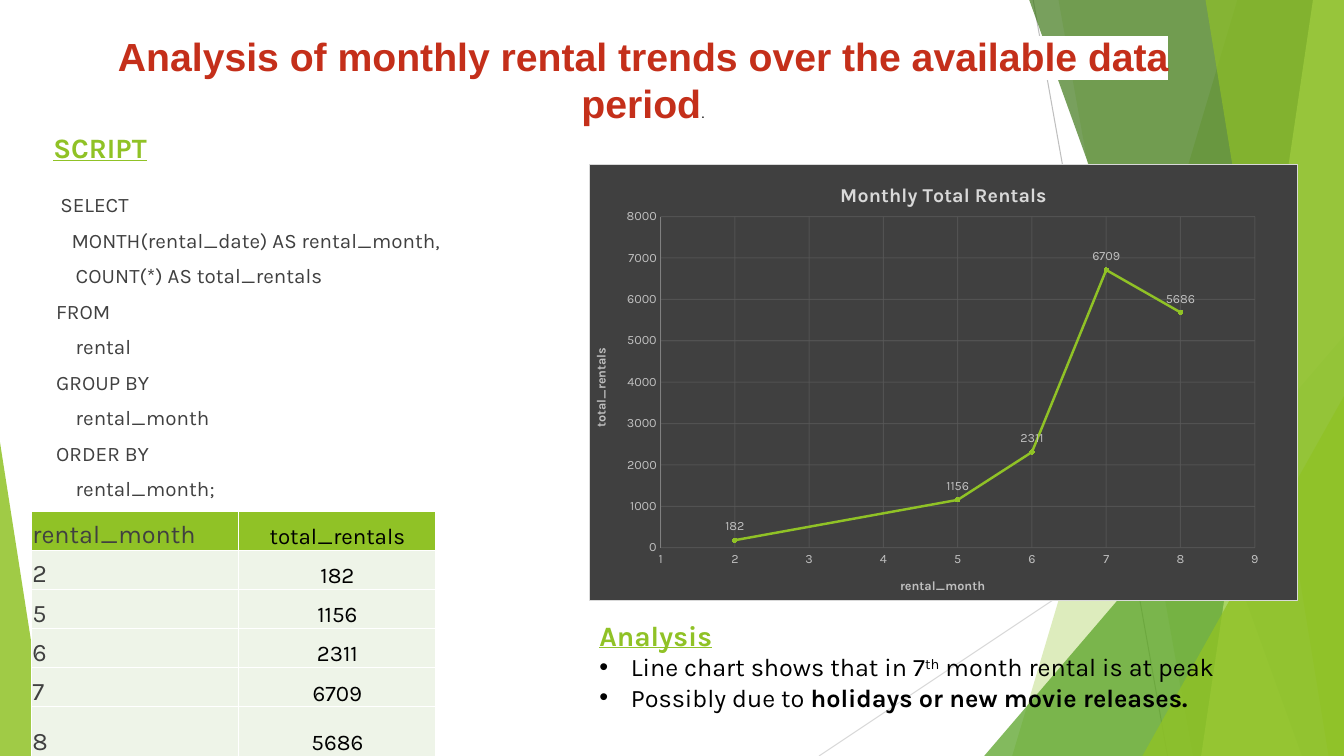
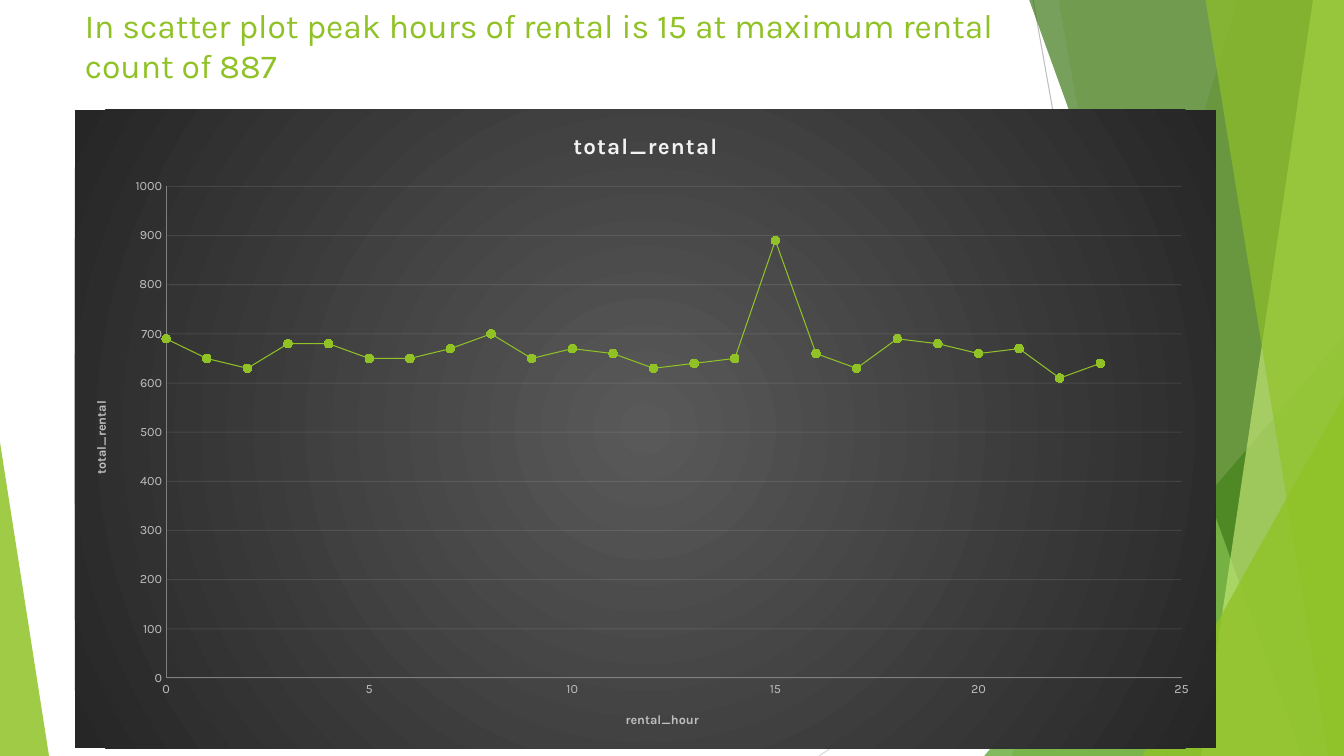
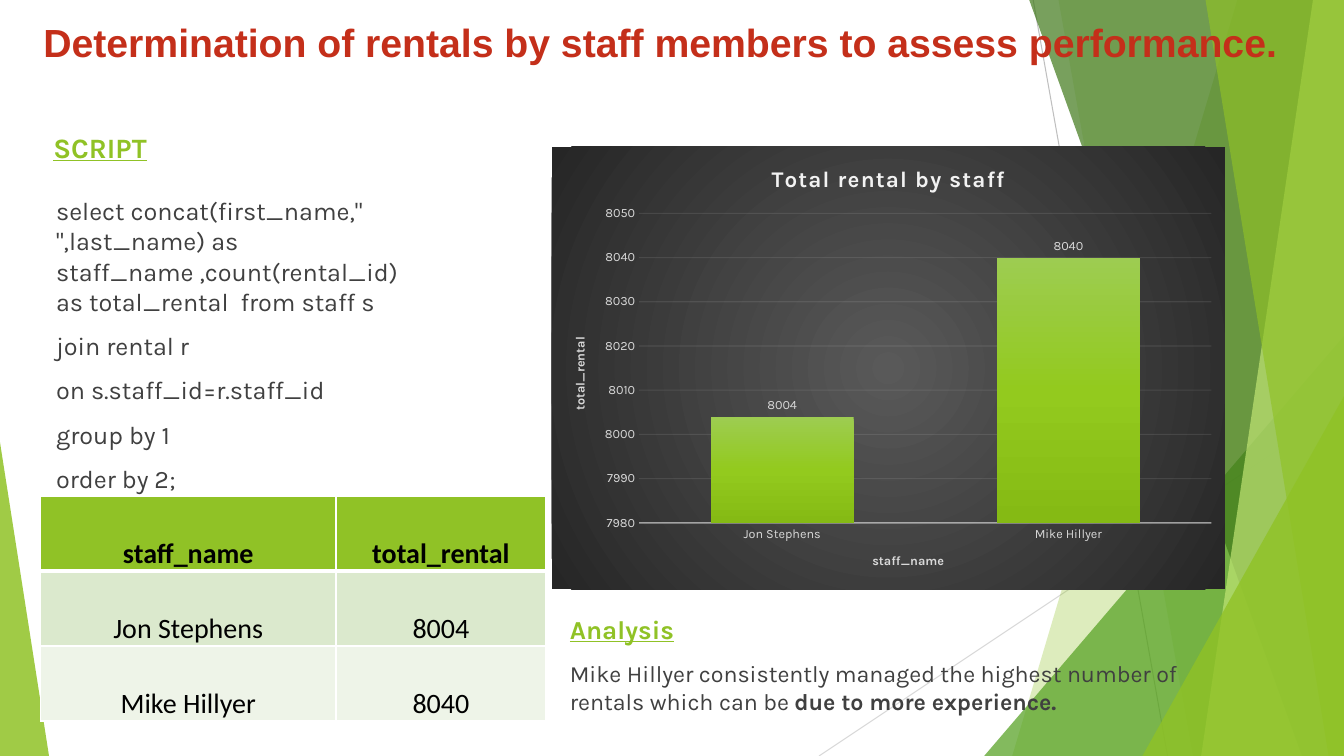
from pptx import Presentation
from pptx.chart.data import CategoryChartData, XyChartData
from pptx.chart.datalabel import DataLabels
from pptx.dml.color import RGBColor
from pptx.dml.fill import FillFormat
from pptx.enum.chart import XL_CHART_TYPE, XL_LABEL_POSITION, XL_MARKER_STYLE, XL_TICK_MARK
from pptx.enum.shapes import MSO_CONNECTOR, MSO_SHAPE
from pptx.enum.text import MSO_ANCHOR, PP_ALIGN
from pptx.oxml import parse_xml
from pptx.oxml.ns import nsdecls, qn
from pptx.util import Pt

GREEN, RED, GREY, BLACK, WHITE = "90C226", "C42F1A", "404040", "000000", "FFFFFF"
PALE, MID = "EEF4E8", "DBE9CD"
RADIAL = ('<a:path path="circle"><a:fillToRect l="50000" t="50000" r="50000" b="50000"/></a:path>')
LINEAR = '<a:lin ang="5400000" scaled="0"/>'
DARK = "595959 262626"


def paint(fill, colours, alpha=100, shade=RADIAL):
    stops = colours.split()
    if len(stops) > 1:
        fill.gradient()
        old = fill._xPr.find(qn("a:gradFill"))
        gs = "".join(f'<a:gs pos="{100000 * i // (len(stops) - 1)}"><a:srgbClr val="{c}"/></a:gs>'
                     for i, c in enumerate(stops))
        new = f'<a:gradFill {nsdecls("a")} rotWithShape="1"><a:gsLst>{gs}</a:gsLst>{shade}</a:gradFill>'
        fill._xPr.replace(old, parse_xml(new))
        return
    fill.solid()
    fill.fore_color.rgb = RGBColor.from_string(colours)
    if alpha < 100:
        clr = next(fill._xPr.iter(qn("a:srgbClr")))
        clr.append(parse_xml(f'<a:alpha {nsdecls("a")} val="{alpha * 1000}"/>'))


def write(p, text, fmt):
    r = p.add_run()
    r.text = text
    rPr = r.font._element
    for key, value in fmt.items():
        if key == "colour":
            paint(r.font.fill, value)
        elif key in ("spc", "baseline"):
            rPr.set(key, value)
        elif key == "highlight":
            rPr.find(qn("a:solidFill")).addnext(parse_xml(
                f'<a:highlight {nsdecls("a")}><a:srgbClr val="{value}"/></a:highlight>'))
        else:
            setattr(r.font, key, value)


prs = Presentation()
prs.slide_width, prs.slide_height = Pt(960), Pt(540)
blank = prs.slide_layouts[6]
slides = [prs.slides.add_slide(blank) for _ in range(3)]
trends, hours, staff = slides

decor = []
for x1, y1, x2, y2, colour in [(738, 0, 834, 540, "BFBFBF"), (960, 290, 585, 540, "D9D9D9")]:
    sp = trends.shapes.add_connector(MSO_CONNECTOR.STRAIGHT, Pt(x1), Pt(y1), Pt(x2), Pt(y2))
    paint(sp.line.fill, colour)
    sp.line.width = Pt(0.75)
    sp.element.spPr.append(parse_xml(f'<a:effectLst {nsdecls("a")}/>'))
    decor.append(sp)

facets = [
    ((884, 723), GREEN, 30),
    ((756, 852), GREEN, 20),
    ((703, 240, 257, 300, 1), "54A021", 72),
    ((735, 930), "3F7819", 70),
    ((938, 858), "C0E474", 70),
    ((861, 949), GREEN, 65),
    ((816, 283, 144, 257, 1), GREEN, 80),
    ((0, 316, 35, 224, 0), GREEN, 85),
]
for place, colour, alpha in facets:
    if len(place) == 2:
        top, bottom = place
        fb = trends.shapes.build_freeform(Pt(top), Pt(-0.6))
        fb.add_line_segments([(Pt(960), Pt(-0.6)), (Pt(960), Pt(540)), (Pt(bottom), Pt(540))])
        sp = fb.convert_to_shape()
    else:
        sp = trends.shapes.add_shape(MSO_SHAPE.ISOSCELES_TRIANGLE, *map(Pt, place[:4]))
        sp.adjustments[0] = place[4]
    paint(sp.fill, colour, alpha)
    sp.line.fill.background()
    sp.shadow.inherit = False
    decor.append(sp)
for sp in decor:
    blank.shapes.element.append(sp.element)

karla = {"name": "Karla"}
heading = {**karla, "size": Pt(20), "colour": GREEN, "bold": True, "underline": True}
title = {"name": "Arial", "size": Pt(28), "colour": RED, "bold": True}
code = {**karla, "size": Pt(14.7), "colour": GREY}
query = {**code, "size": Pt(18)}
note = {**karla, "size": Pt(18), "colour": BLACK}
remark = {**code, "size": Pt(16.6)}
centred = {"alignment": PP_ALIGN.CENTER, "space_before": Pt(12), "space_after": Pt(12), "indent": (36, 0)}
bullet = {"indent": (22.5, -22.5), "bullet": "•"}
spaced = {"space_before": Pt(10)}

lines = [(3, "SELECT"), (11, "MONTH(rental_date) AS rental_month,"), (14, "COUNT(*) AS total_rentals"),
         (0, "FROM"), (14, "rental"), (0, "GROUP BY"), (14, "rental_month"), (0, "ORDER BY"),
         (14, "rental_month;")]
script = [({**spaced, "line_spacing": 0.87, "indent": (x, 0)}, [(t, code)]) for x, t in lines]
staff_query = ['select concat(first_name," ",last_name) as staff_name ,count(rental_id) as total_rental  from staff s',
               "join rental r", "on s.staff_id=r.staff_id", "group by 1", "order by 2;"]
script_head = [({}, [("SCRIPT", heading)])]

texts = [
    (trends, (31, 90, 119, 52), script_head),
    (trends, (33, 136, 290, 235), script),
    (trends, (421, 438, 480, 97), [
        ({}, [("Analysis", heading)]),
        (bullet, [("Line chart shows that in 7", note), ("th", {**note, "baseline": "30000"}),
                  (" month rental is at peak", note)]),
        (bullet, [("Possibly due to ", note),
                  ("holidays or new movie releases.", {**note, "bold": True})])]),
    (trends, (41, 19.5, 801, 75), [
        (centred, [("Analysis of monthly rental trends over the available data period",
                    {**title, "highlight": WHITE}),
                   (".", {"name": "Arial", "size": Pt(10), "colour": BLACK})])]),
    (hours, (53.5, 0, 718, 104), [
        ({}, [("In scatter plot peak hours of rental is 15 at maximum rental count of 887",
               {**karla, "size": Pt(24), "colour": GREEN})])]),
    (staff, (31, 90, 119, 52), script_head),
    (staff, (33, 136, 282, 218), [(spaced, [(t, query)]) for t in staff_query]),
    (staff, (-19.5, 9.5, 946, 41), [
        (centred, [("Determination of rentals by staff members to assess performance.", title)])]),
    (staff, (400, 435, 476, 80), [
        ({}, [("Analysis", {**heading, "size": Pt(18.5)})]),
        (spaced, [("Mike Hillyer consistently managed the highest number of rentals which can be ", remark),
                  ("due to more experience.", {**remark, "bold": True})])]),
]
for s, box, paragraphs in texts:
    tf = s.shapes.add_textbox(*map(Pt, box)).text_frame
    tf.word_wrap = True
    for i, (layout, runs) in enumerate(paragraphs):
        p = tf.paragraphs[0] if i == 0 else tf.add_paragraph()
        for key, value in layout.items():
            pPr = p._p.get_or_add_pPr()
            if key == "indent":
                pPr.set("marL", str(Pt(value[0])))
                pPr.set("indent", str(Pt(value[1])))
            elif key == "bullet":
                pPr.append(parse_xml(f'<a:buFont {nsdecls("a")} typeface="Arial"/>'))
                pPr.append(parse_xml(f'<a:buChar {nsdecls("a")} char="{value}"/>'))
            else:
                setattr(p, key, value)
        for text, fmt in runs:
            write(p, text, fmt)

months, rentals = [2, 5, 6, 7, 8], [182, 1156, 2311, 6709, 5686]
names, totals = ["Jon Stephens", "Mike Hillyer"], [8004, 8040]
month_cell = (PP_ALIGN.LEFT, 10, query)
rental_cell = (PP_ALIGN.CENTER, 0, {**note, "size": Pt(16)})
staff_cell = (PP_ALIGN.CENTER, 0, {"name": "Calibri", "size": Pt(20), "colour": BLACK})
tables = [
    (trends, (22.5, 365), [148, 141], [28] * 5 + [35.5], [GREEN] + [PALE] * 5, False, 1,
     [month_cell, rental_cell], [("rental_month", "total_rentals"), *zip(months, rentals)]),
    (staff, (29, 354.5), [211, 150], [53.5] * 3, [GREEN, MID, PALE], True, 3,
     [staff_cell, staff_cell], [("staff_name", "total_rental"), *zip(names, totals)]),
]
for s, (x, y), widths, heights, fills, bold_head, rule, columns, rows in tables:
    tbl = s.shapes.add_table(len(rows), 2, Pt(x), Pt(y), Pt(sum(widths)), Pt(sum(heights))).table
    for col, width in zip(tbl.columns, widths):
        col.width = Pt(width)
    for i, values in enumerate(rows):
        tbl.rows[i].height = Pt(heights[i])
        for j, (align, before, fmt) in enumerate(columns):
            cell = tbl.cell(i, j)
            for key, value in {"margin_left": Pt(0.7), "margin_right": Pt(0.7), "margin_top": Pt(0.7),
                               "margin_bottom": 0, "vertical_anchor": MSO_ANCHOR.BOTTOM}.items():
                setattr(cell, key, value)
            paint(cell.fill, fills[i])
            for k, side in enumerate("LRTB"):
                width = Pt(rule if (i, side) in ((0, "B"), (1, "T")) else 1)
                cell._tc.get_or_add_tcPr().insert(k, parse_xml(
                    f'<a:ln{side} {nsdecls("a")} w="{width}"><a:solidFill>'
                    f'<a:srgbClr val="{WHITE}"/></a:solidFill></a:ln{side}>'))
            p = cell.text_frame.paragraphs[0]
            p.alignment, p.space_before = align, Pt(before)
            write(p, str(values[j]), {**fmt, "bold": bold_head and i == 0})

hourly = [690, 650, 630, 680, 680, 650, 650, 670, 700, 650, 670, 660,
          630, 640, 650, 890, 660, 630, 690, 680, 660, 670, 610, 640]
chart_title = {**karla, "size": Pt(16), "colour": "F2F2F2", "bold": True, "spc": "100"}
axis_line, faint = ("808080", 0.75, 100), ("F2F2F2", 0.75, 10)
month_grid = ("595959", 0.75, 75)
charts = [
    {"slide": trends, "box": (421, 117, 506, 312), "plot": (0.1, 0.12, 0.84, 0.76),
     "title": "Monthly Total Rentals",
     "title_fmt": {**karla, "size": Pt(14), "colour": "D9D9D9", "bold": True},
     "x": months, "y": rentals, "series": "Series 1", "back": GREY, "border": "D9D9D9", "ink": "BFBFBF",
     "axes": [("rental_month", (1, 9, 1), None, month_grid),
              ("total_rentals", (0, 8000, 1000), axis_line, month_grid)],
     "line": 1.75, "marker": (3, "C0E474"), "labels": XL_LABEL_POSITION.ABOVE},
    {"slide": hours, "box": (53.5, 78.5, 815, 456), "plot": (0.08, 0.12, 0.89, 0.77),
     "title": "total_rental", "title_fmt": chart_title,
     "x": range(24), "y": hourly, "series": "total_rental", "back": DARK, "border": None, "ink": "BFBFBF",
     "axes": [("rental_hour", (0, 25, 5), axis_line, None),
              ("total_rental", (0, 1000, 100), axis_line, faint)],
     "line": 0.75, "marker": (6, "93CA1E"), "labels": None},
    {"slide": staff, "box": (394, 105, 481, 316), "plot": (0.13, 0.15, 0.85, 0.7),
     "title": "Total rental by staff", "title_fmt": chart_title,
     "x": names, "y": totals, "series": "Series 1", "back": DARK, "border": None, "ink": "D9D9D9",
     "axes": [("staff_name", None, ("F2F2F2", 1, 54), None),
              ("total_rental", (7980, 8050, 10), None, faint)],
     "line": None, "marker": None, "labels": XL_LABEL_POSITION.OUTSIDE_END},
]
for c in charts:
    if c["marker"]:
        kind, data = XL_CHART_TYPE.XY_SCATTER_LINES, XyChartData()
        points = data.add_series(c["series"])
        for x, y in zip(c["x"], c["y"]):
            points.add_data_point(x, y)
    else:
        kind, data = XL_CHART_TYPE.COLUMN_CLUSTERED, CategoryChartData()
        data.categories = c["x"]
        data.add_series(c["series"], c["y"])
    chart = c["slide"].shapes.add_chart(kind, *map(Pt, c["box"]), data).chart
    chart.has_legend = False
    chart.font.size, chart.font.name = Pt(10), "Karla"
    paint(chart.font.fill, BLACK)
    write(chart.chart_title.text_frame.paragraphs[0], c["title"], c["title_fmt"])
    chart.chart_title.include_in_layout = False

    spPr = parse_xml(f'<c:spPr {nsdecls("c", "a")}><a:ln w="{Pt(0.75)}"/></c:spPr>')
    chart.element.find(qn("c:chart")).addnext(spPr)
    border = FillFormat.from_fill_parent(spPr[0])
    if c["border"]:
        paint(border, c["border"])
    else:
        border.background()
    paint(FillFormat.from_fill_parent(spPr), c["back"])

    area = next(chart.element.iter(qn("c:plotArea")))
    for old in area.findall(qn("c:layout")):
        area.remove(old)
    sizes = "".join(f'<c:{tag} val="{v}"/>' for tag, v in zip("xywh", c["plot"]))
    area.insert(0, parse_xml(
        f'<c:layout {nsdecls("c")}><c:manualLayout><c:layoutTarget val="inner"/>'
        f'<c:xMode val="edge"/><c:yMode val="edge"/>{sizes}</c:manualLayout></c:layout>'))

    ink = {**karla, "size": Pt(9), "colour": c["ink"], "bold": True}
    for axis, (name, scale, line, grid) in zip((chart.category_axis, chart.value_axis), c["axes"]):
        write(axis.axis_title.text_frame.paragraphs[0], name, ink)
        axis.major_tick_mark = axis.minor_tick_mark = XL_TICK_MARK.NONE
        axis.tick_labels.font.size, axis.tick_labels.font.name = Pt(9), "Karla"
        paint(axis.tick_labels.font.fill, c["ink"])
        if scale:
            axis.minimum_scale, axis.maximum_scale, axis.major_unit = scale
        axis.has_major_gridlines = grid is not None
        strokes = [(axis.format.line, line)]
        if grid:
            strokes.append((axis.major_gridlines.format.line, grid))
        for stroke, look in strokes:
            if look:
                paint(stroke.fill, look[0], look[2])
                stroke.width = Pt(look[1])
            else:
                stroke.fill.background()

    plot = chart.plots[0]
    plot.vary_by_categories = False
    series = plot.series[0]
    if c["marker"]:
        series.smooth = False
        paint(series.format.line.fill, GREEN)
        series.format.line.width = Pt(c["line"])
        series.marker.style = XL_MARKER_STYLE.CIRCLE
        series.marker.size = c["marker"][0]
        paint(series.marker.format.fill, c["marker"][1])
        paint(series.marker.format.line.fill, GREEN)
    else:
        plot.gap_width, plot.overlap = 100, -24
        paint(series.format.fill, "9DCC51 93CA1E 85BA14", shade=LINEAR)
    if c["labels"] is not None:
        labels = DataLabels(next(chart.element.iter(qn("c:ser"))).get_or_add_dLbls())
        labels.show_value, labels.position = True, c["labels"]
        labels.font.size, labels.font.name = Pt(9), "Karla"
        paint(labels.font.fill, c["ink"])

prs.save("out.pptx")
